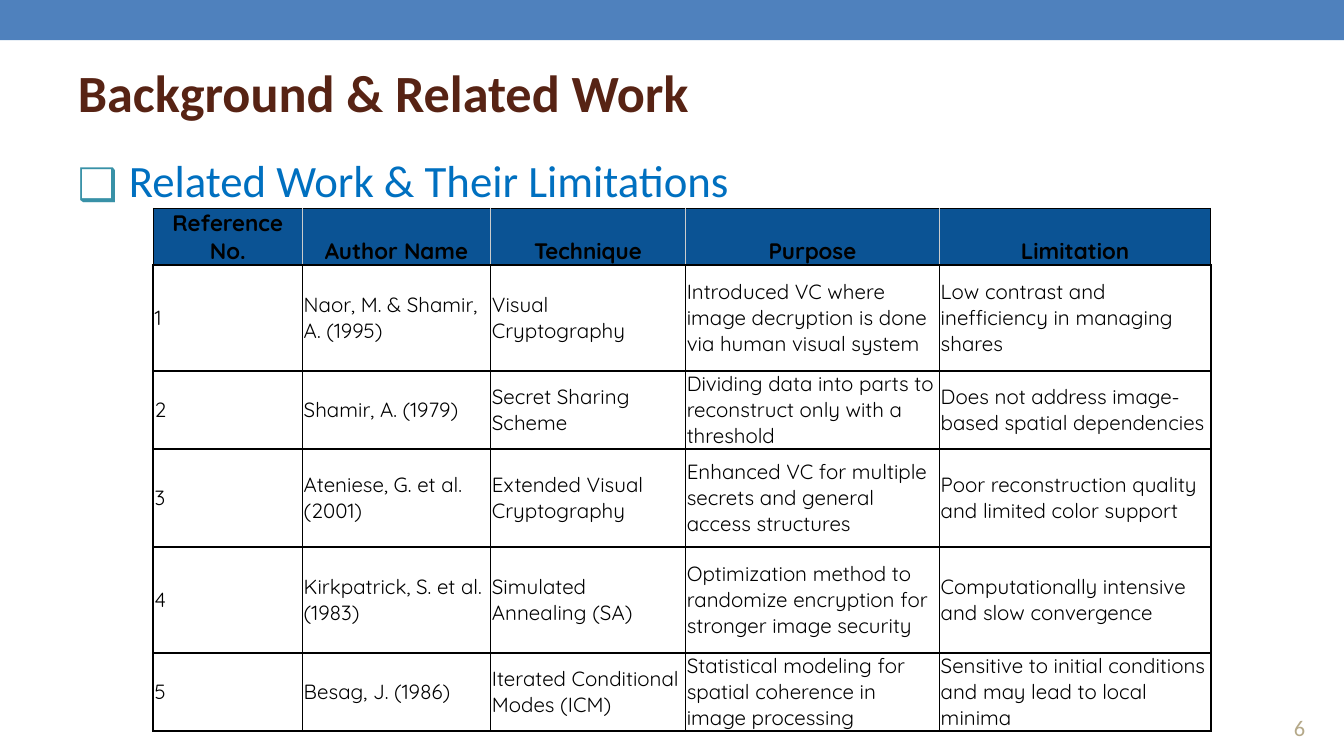
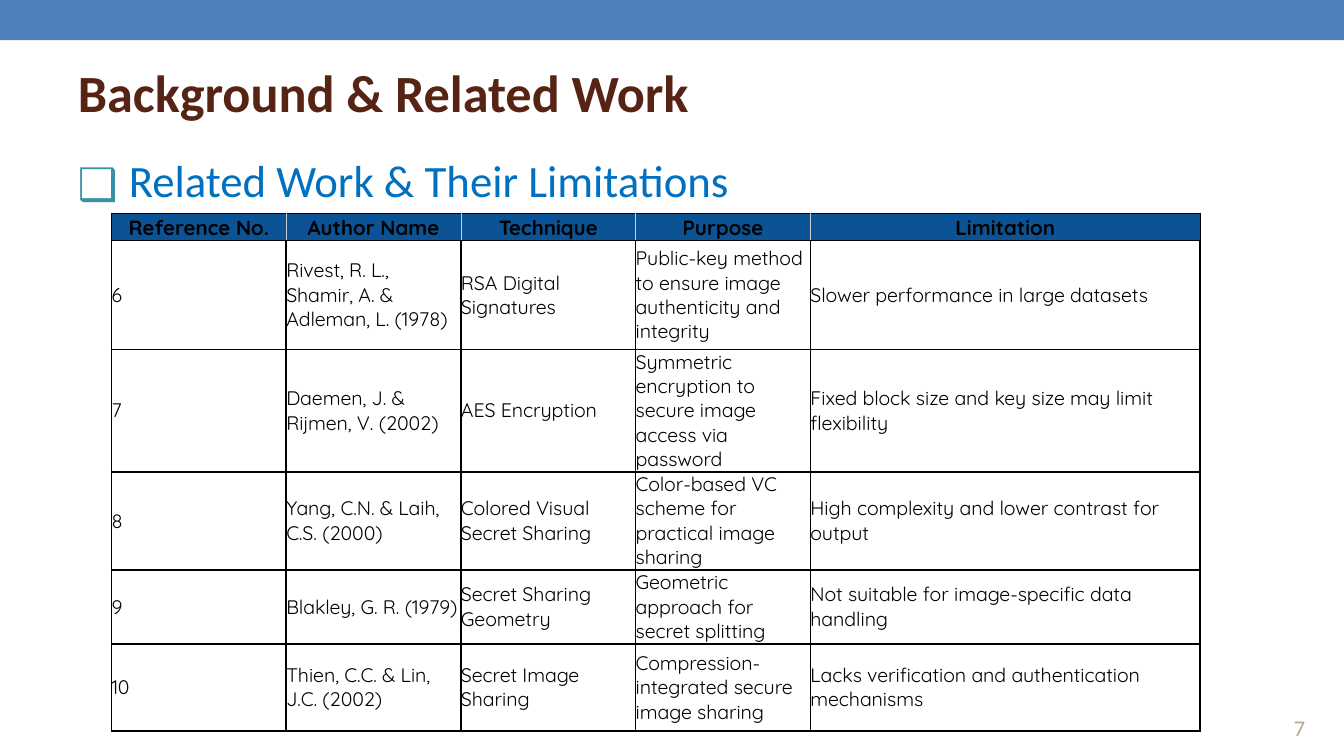
import dataclasses

import pptx
import pptx.dml.color
import pptx.enum.shapes
import pptx.enum.text
import pptx.oxml
import pptx.oxml.ns
import pptx.util

Inches = pptx.util.Inches
Pt = pptx.util.Pt
ANCHOR = pptx.enum.text.MSO_ANCHOR
ALIGN = pptx.enum.text.PP_ALIGN
NS = pptx.oxml.ns.nsdecls("a")


@dataclasses.dataclass(frozen=True)
class Theme:
    band: str = "4F81BD"
    title: str = "572314"
    topic: str = "0070C0"
    bullet: str = "3891A7"
    number: str = "B5A989"
    head: str = "0B5394"
    ink: str = "000000"
    rule: str = "CCCCCC"
    font: str = "Calibri"
    grid_font: str = "Quicksand"
    mark_font: str = "Noto Sans Symbols"
    title_size: float = 28
    topic_size: float = 24
    number_size: float = 12
    thick: float = 1
    thin: float = 0.5


@dataclasses.dataclass(frozen=True)
class Grid:
    """Place, sizes and rows of one table of references."""
    left: float
    top: float
    cols: tuple
    heights: tuple
    inset: float
    head_size: float
    body_size: float
    rows: tuple


THEME = Theme()
TITLE = "Background & Related Work"
TOPIC = "Related Work & Their Limitations"
HEADS = ("Reference No.", "Author Name", "Technique", "Purpose", "Limitation")
FIRST = 6

GRIDS = (
    Grid(1.14, 1.55, (1.11, 1.4, 1.45, 1.89, 2.02),
         (0.42, 0.79, 0.58, 0.73, 0.79, 0.58), 0.01, 12, 11, (
        ("1", "Naor, M. & Shamir, A. (1995)", "Visual Cryptography",
         "Introduced VC where image decryption is done via human visual system",
         "Low contrast and inefficiency in managing shares"),
        ("2", "Shamir, A. (1979)", "Secret Sharing Scheme",
         "Dividing data into parts to reconstruct only with a threshold",
         "Does not address image-based spatial dependencies"),
        ("3", "Ateniese, G. et al. (2001)", "Extended Visual Cryptography",
         "Enhanced VC for multiple secrets and general access structures",
         "Poor reconstruction quality and limited color support"),
        ("4", "Kirkpatrick, S. et al. (1983)", "Simulated Annealing (SA)",
         "Optimization method to randomize encryption for stronger image security",
         "Computationally intensive and slow convergence"),
        ("5", "Besag, J. (1986)", "Iterated Conditional Modes (ICM)",
         "Statistical modeling for spatial coherence in image processing",
         "Sensitive to initial conditions and may lead to local minima"))),
    Grid(0.83, 1.59, (1.3, 1.3, 1.3, 1.3, 2.9),
         (0.2, 0.81, 0.91, 0.73, 0.55, 0.65), 0, 11, 10.5, (
        ("6", "Rivest, R. L., Shamir, A. & Adleman, L. (1978)",
         "RSA Digital Signatures",
         "Public-key method to ensure image authenticity and integrity",
         "Slower performance in large datasets"),
        ("7", "Daemen, J. & Rijmen, V. (2002)", "AES Encryption",
         "Symmetric encryption to secure image access via password",
         "Fixed block size and key size may limit flexibility"),
        ("8", "Yang, C.N. & Laih, C.S. (2000)", "Colored Visual Secret Sharing",
         "Color-based VC scheme for practical image sharing",
         "High complexity and lower contrast for output"),
        ("9", "Blakley, G. R. (1979)", "Secret Sharing Geometry",
         "Geometric approach for secret splitting",
         "Not suitable for image-specific data handling"),
        ("10", "Thien, C.C. & Lin, J.C. (2002)", "Secret Image Sharing",
         "Compression-integrated secure image sharing",
         "Lacks verification and authentication mechanisms"))),
)


def color(code):
    return pptx.dml.color.RGBColor.from_string(code)


def style(para, font, size, ink, bold=False, align=ALIGN.LEFT):
    para.alignment = align
    para.font.name = font
    para.font.size = Pt(size)
    para.font.bold = bold
    para.font.color.rgb = color(ink)


def write(shape, text, anchor):
    """Fill the shape's frame and return its only paragraph."""
    frame = shape.text_frame
    frame.word_wrap = True
    frame.vertical_anchor = anchor
    frame.text = text
    return frame.paragraphs[0]


def add_band(slide, box):
    band = slide.shapes.add_shape(
        pptx.enum.shapes.MSO_SHAPE.RECTANGLE, *map(Inches, box))
    band.shadow.inherit = False
    band.fill.solid()
    band.fill.fore_color.rgb = color(THEME.band)
    band.line.fill.background()


def set_title(slide, box):
    title = slide.shapes.title
    title.left, title.top, title.width, title.height = map(Inches, box)
    para = write(title, TITLE, ANCHOR.MIDDLE)
    style(para, THEME.font, THEME.title_size, THEME.title, True)


def add_topic(slide, box):
    shape = slide.shapes.add_textbox(*map(Inches, box))
    para = write(shape, TOPIC, ANCHOR.TOP)
    props = para._p.get_or_add_pPr()
    props.set("marL", str(Inches(0.38)))
    props.set("indent", str(Inches(-0.38)))
    for part in (f'<a:buClr {NS}><a:srgbClr val="{THEME.bullet}"/></a:buClr>',
                 f'<a:buFont {NS} typeface="{THEME.mark_font}"/>',
                 f'<a:buChar {NS} char="❑"/>'):
        props.append(pptx.oxml.parse_xml(part))
    style(para, THEME.font, THEME.topic_size, THEME.topic)


def add_number(slide, box, number):
    shape = slide.shapes.add_textbox(*map(Inches, box))
    para = write(shape, str(number), ANCHOR.BOTTOM)
    style(para, THEME.font, THEME.number_size, THEME.number,
          align=ALIGN.CENTER)


def set_edges(cell, edges):
    """Draw the left, right, top and bottom edges, each (colour, points)."""
    props = cell._tc.get_or_add_tcPr()
    for i, (side, (ink, width)) in enumerate(zip("LRTB", edges)):
        props.insert(i, pptx.oxml.parse_xml(
            f'<a:ln{side} {NS} w="{Pt(width)}"><a:solidFill>'
            f'<a:srgbClr val="{ink}"/></a:solidFill></a:ln{side}>'))


def fill_cell(cell, text, grid, head, col):
    cell.margin_left = cell.margin_right = Inches(grid.inset)
    cell.margin_top = cell.margin_bottom = 0
    cell.text = text
    para = cell.text_frame.paragraphs[0]
    dark = (THEME.ink, THEME.thick)
    if head:
        cell.vertical_anchor = ANCHOR.BOTTOM
        cell.fill.solid()
        cell.fill.fore_color.rgb = color(THEME.head)
        style(para, THEME.grid_font, grid.head_size, THEME.ink, True,
              ALIGN.CENTER)
        rim, rule = (THEME.ink, THEME.thin), (THEME.rule, THEME.thin)
        last = col == len(HEADS) - 1
        edges = (rule if col else rim, rim if last else rule, rim, dark)
    else:
        cell.vertical_anchor = ANCHOR.MIDDLE
        cell.fill.background()
        style(para, THEME.grid_font, grid.body_size, THEME.ink)
        edges = (dark,) * 4
    set_edges(cell, edges)


def add_grid(slide, grid):
    box = (grid.left, grid.top, sum(grid.cols), sum(grid.heights))
    table = slide.shapes.add_table(
        len(grid.heights), len(grid.cols), *map(Inches, box)).table
    table.first_row = table.horz_banding = False
    for col, width in zip(table.columns, grid.cols):
        col.width = Inches(width)
    for row, height in zip(table.rows, grid.heights):
        row.height = Inches(height)
    for i, texts in enumerate((HEADS,) + grid.rows):
        for j, text in enumerate(texts):
            fill_cell(table.cell(i, j), text, grid, i == 0, j)


def add_page(deck, grid, number):
    slide = deck.slides.add_slide(deck.slide_layouts.get_by_name("Title Only"))
    add_band(slide, (0, 0, 10, 0.3))
    set_title(slide, (0.48, 0.37, 9.07, 0.63))
    add_topic(slide, (0.48, 1.09, 9.18, 3.95))
    add_number(slide, (9.42, 5.17, 0.5, 0.39), number)
    add_grid(slide, grid)


def main():
    deck = pptx.Presentation()
    deck.slide_width = Inches(10)
    deck.slide_height = deck.slide_width * 9 // 16
    for number, grid in enumerate(GRIDS, FIRST):
        add_page(deck, grid, number)
    deck.save("out.pptx")


if __name__ == "__main__":
    main()
